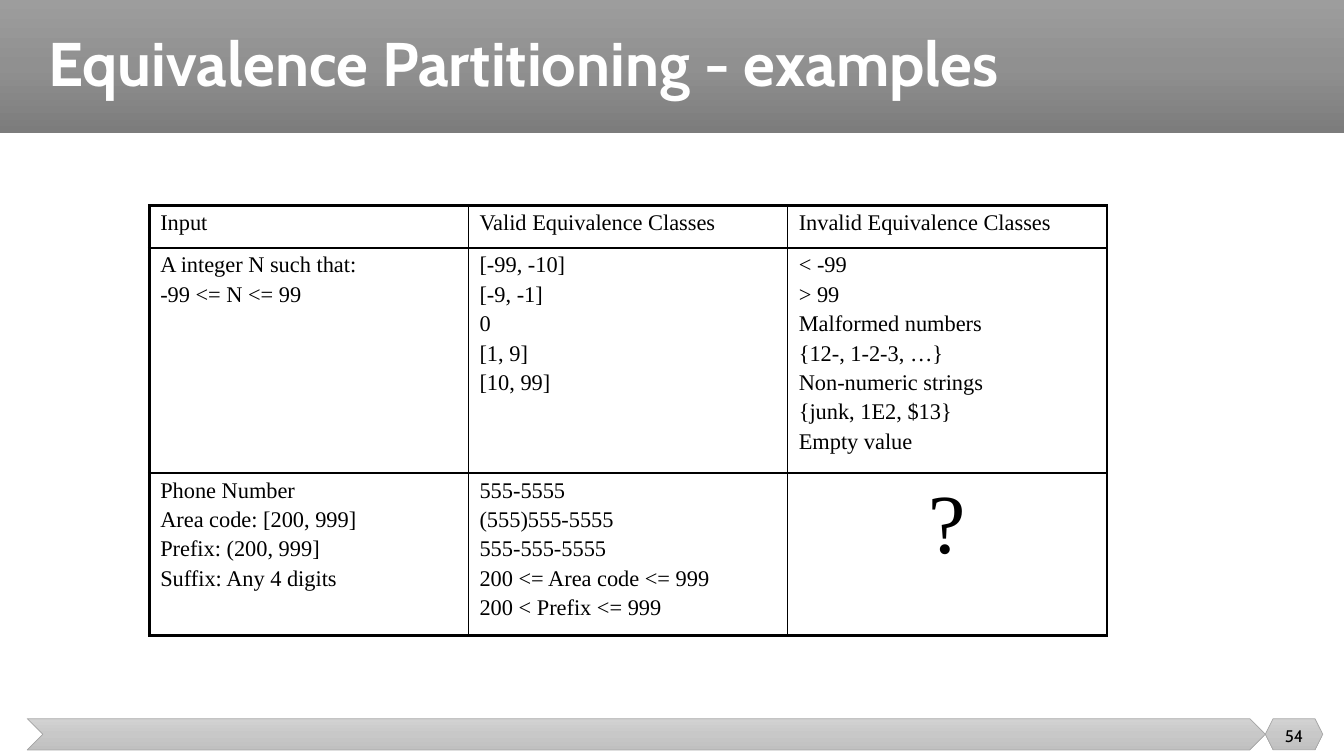
from copy import deepcopy
from dataclasses import dataclass

from lxml.etree import SubElement
from pptx import Presentation
from pptx.dml.color import RGBColor
from pptx.enum.shapes import MSO_SHAPE
from pptx.enum.text import MSO_ANCHOR, PP_ALIGN
from pptx.oxml.ns import qn
from pptx.util import Inches, Pt


@dataclass(frozen=True)
class Theme:
    """Colours, fonts and type sizes of the slide."""
    banner: tuple = ("9D9D9D", "909090", "7C7C7C")
    footer: tuple = ("D2D2D2", "C8C8C8", "C0C0C0")
    footer_edge: str = "A5A5A5"
    ink: str = "000000"
    white: str = "FFFFFF"
    heading_font: str = "Cabin"
    table_font: str = "Times New Roman"
    title_size: int = 44
    cell_size: int = 16
    question_size: int = 60
    number_size: int = 12
    thin: float = 1
    thick: float = 2.25


def apply(target, values):
    """Set each named attribute of the target."""
    for name, value in values.items():
        setattr(target, name, value)


class SlideBuilder:
    """Draws styled elements on the current slide."""

    def __init__(self, slide, theme):
        self.slide = slide
        self.theme = theme

    def styled_run(self, paragraph, text, font, size, color, bold=False):
        """Add one formatted run to a paragraph."""
        run = paragraph.add_run()
        run.text = text
        apply(run.font, {"name": font, "size": Pt(size), "bold": bold})
        run.font.color.rgb = RGBColor.from_string(color)

    def band(self, preset, box, colors, edge=None):
        """Add a preset shape with an even vertical gradient."""
        shape = self.slide.shapes.add_shape(preset, *map(Inches, box))
        shape.shadow.inherit = False
        shape.fill.gradient()
        shape.fill.gradient_angle = 270
        stop_list = next(shape._element.spPr.iter(qn("a:gsLst")))
        stop_list.insert(1, deepcopy(stop_list[0]))
        for index, (stop, color) in enumerate(zip(shape.fill.gradient_stops, colors)):
            stop.position = index / (len(colors) - 1)
            stop.color.rgb = RGBColor.from_string(color)
        if edge:
            shape.line.color.rgb = RGBColor.from_string(edge)
            shape.line.width = Pt(0.5)
        else:
            shape.line.fill.background()

    def label(self, box, text, size, color, bold=False, **layout):
        """Add a vertically centred text box in the heading font."""
        frame = self.slide.shapes.add_textbox(*map(Inches, box)).text_frame
        apply(frame, {"word_wrap": True, "vertical_anchor": MSO_ANCHOR.MIDDLE})
        apply(frame.paragraphs[0], layout)
        self.styled_run(frame.paragraphs[0], text, self.theme.heading_font,
                        size, color, bold)

    def border(self, cell, widths):
        """Draw the left, right, top and bottom borders of a cell."""
        properties = cell._tc.get_or_add_tcPr()
        for index, (side, width) in enumerate(zip("LRTB", widths)):
            line = properties.makeelement(qn(f"a:ln{side}"), {"w": str(Pt(width))})
            properties.insert(index, line)
            fill = SubElement(line, qn("a:solidFill"))
            SubElement(fill, qn("a:srgbClr"), val=self.theme.ink)

    def fill_cell(self, cell, text, size, alignment):
        """Add one paragraph per line, spaced by a fifth of a line."""
        apply(cell, {"margin_left": Inches(0.11), "margin_right": Inches(0.11),
                     "margin_top": Inches(0.05), "margin_bottom": Inches(0.05)})
        cell.fill.background()
        frame = cell.text_frame
        for index, line in enumerate(text.split("\n")):
            paragraph = frame.add_paragraph() if index else frame.paragraphs[0]
            paragraph.alignment = alignment
            spacing = SubElement(paragraph._p.get_or_add_pPr(), qn("a:spcBef"))
            SubElement(spacing, qn("a:spcPct"), val="20000")
            self.styled_run(paragraph, line, self.theme.table_font, size, self.theme.ink)

    def table(self, box, rows, heights):
        """Add a table with a thick frame and thin inner lines."""
        theme = self.theme
        last_row, last_column = len(rows) - 1, len(rows[0]) - 1
        table = self.slide.shapes.add_table(
            len(rows), len(rows[0]), *map(Inches, box)).table
        apply(table, {"first_row": False, "horz_banding": False})
        for r, (row, height) in enumerate(zip(rows, heights)):
            table.rows[r].height = Inches(height)
            for c, text in enumerate(row):
                cell = table.cell(r, c)
                question = text == "?"
                self.fill_cell(cell, text,
                               theme.question_size if question else theme.cell_size,
                               PP_ALIGN.CENTER if question else PP_ALIGN.LEFT)
                outer = (c == 0, c == last_column, r == 0, r == last_row)
                self.border(cell, [theme.thick if edge else theme.thin for edge in outer])


PARTITIONS = [
    ("Input", "Valid Equivalence Classes", "Invalid Equivalence Classes"),
    ("A integer N such that:\n-99 <= N <= 99",
     "[-99, -10]\n[-9, -1]\n0\n[1, 9]\n[10, 99]",
     "< -99\n> 99\nMalformed numbers\n{12-, 1-2-3, …}\n"
     "Non-numeric strings\n{junk, 1E2, $13}\nEmpty value"),
    ("Phone Number\nArea code: [200, 999]\nPrefix: (200, 999]\nSuffix: Any 4 digits",
     "555-5555\n(555)555-5555\n555-555-5555\n"
     "200 <= Area code <= 999\n200 < Prefix <= 999",
     "?"),
]


def main():
    """Build and save the slide."""
    deck = Presentation()
    apply(deck, {"slide_width": Inches(13.33), "slide_height": Inches(7.5)})
    theme = Theme()
    builder = SlideBuilder(deck.slides.add_slide(deck.slide_layouts[6]), theme)
    builder.band(MSO_SHAPE.RECTANGLE, (0, 0, 13.33, 1.32), theme.banner)
    builder.band(MSO_SHAPE.CHEVRON, (0.27, 7.13, 12.28, 0.31),
                 theme.footer, theme.footer_edge)
    builder.band(MSO_SHAPE.HEXAGON, (12.55, 7.13, 0.57, 0.31),
                 theme.footer, theme.footer_edge)
    builder.label((0.38, 0, 12.74, 1.32), "Equivalence Partitioning - examples",
                  theme.title_size, theme.white, bold=True, line_spacing=0.9)
    builder.table((1.48, 2.04, 9.5, 4.35), PARTITIONS, (0.42, 1.12, 1.12))
    builder.label((12.55, 7.1, 0.57, 0.4), "54", theme.number_size, theme.ink,
                  alignment=PP_ALIGN.CENTER)
    deck.save("out.pptx")


if __name__ == "__main__":
    main()
